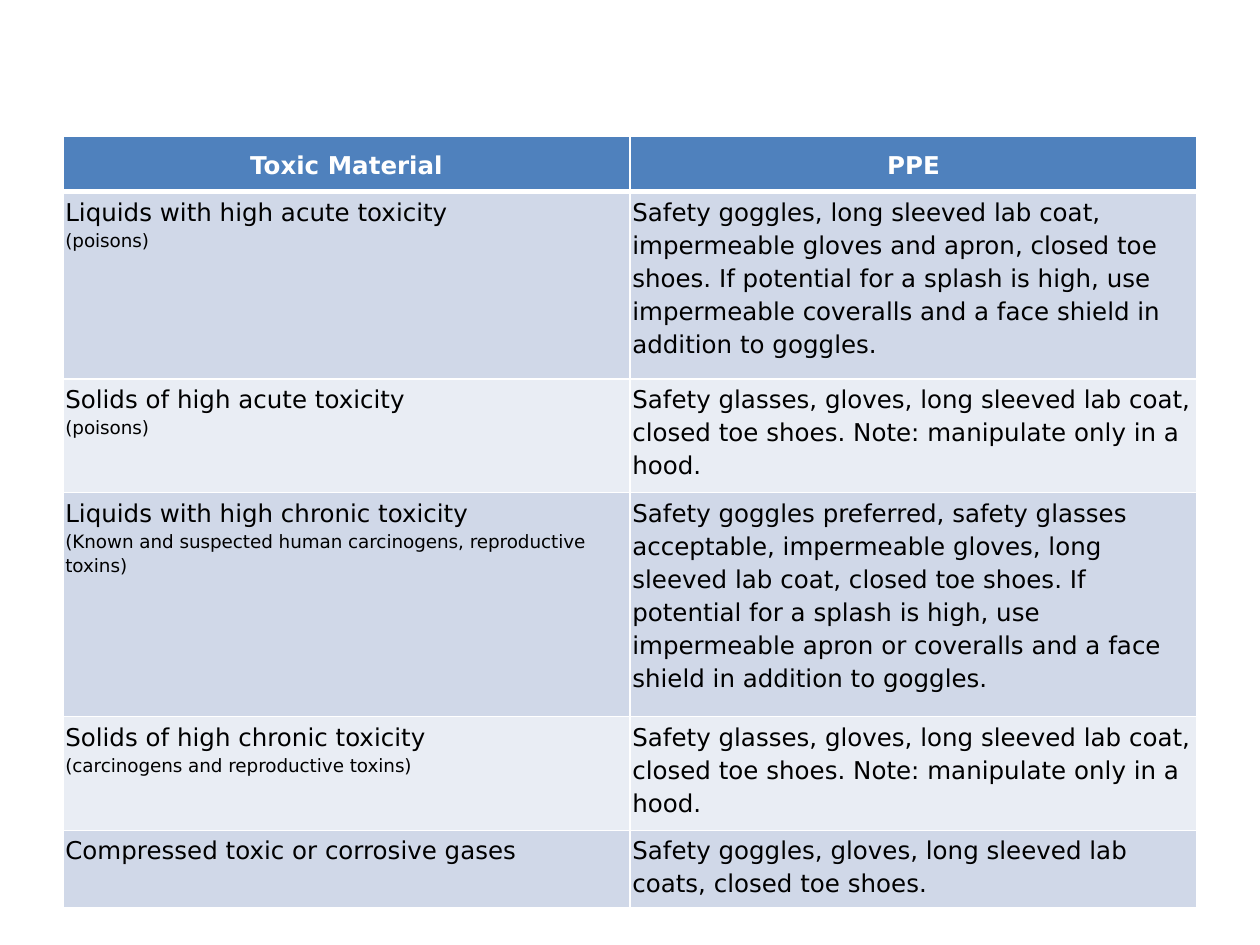
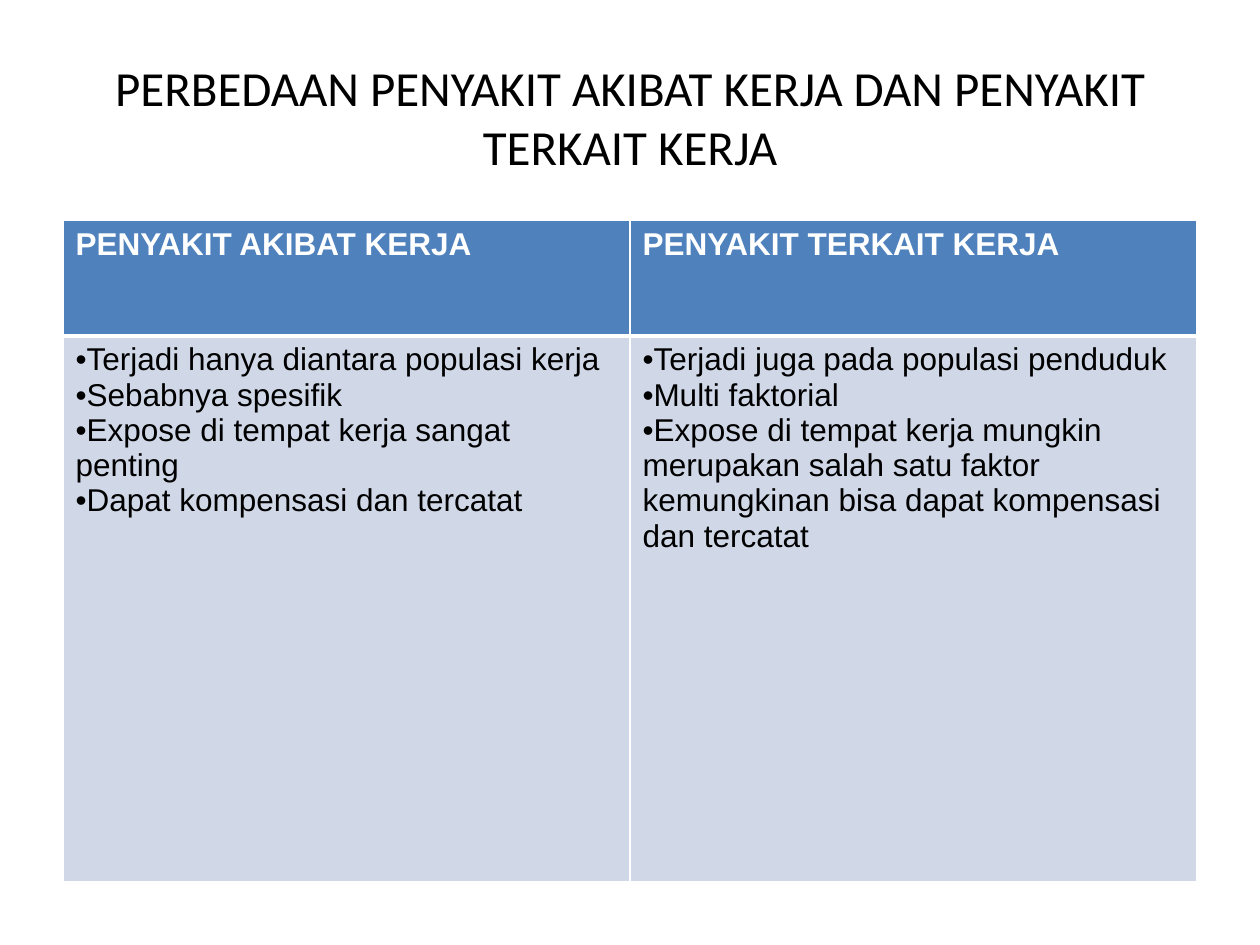
from dataclasses import dataclass

from lxml import etree
from pptx import Presentation
from pptx.dml.color import RGBColor
from pptx.enum.text import MSO_ANCHOR, PP_ALIGN
from pptx.oxml.ns import qn
from pptx.util import Pt

CENTER, LEFT = PP_ALIGN.CENTER, PP_ALIGN.LEFT
MIDDLE, TOP = MSO_ANCHOR.MIDDLE, MSO_ANCHOR.TOP
TITLE_ONLY, BLANK = 5, 6

# Each cell is a list of paragraphs; a tuple holds a main line and a small note under it.
SOLIDS_PPE = ("Safety glasses, gloves, long sleeved lab coat, closed toe shoes. "
              "Note: manipulate only in a hood.")
PPE_ROWS = [
    [["Toxic Material"], ["PPE"]],
    [[("Liquids with high acute toxicity", "(poisons)")],
     ["Safety goggles, long sleeved lab coat, impermeable gloves and apron, "
      "closed toe shoes. If potential for a splash is high, use impermeable "
      "coveralls and a face shield in addition to goggles."]],
    [[("Solids of high acute toxicity", "(poisons)")], [SOLIDS_PPE]],
    [[("Liquids with high chronic toxicity",
       "(Known and suspected human carcinogens, reproductive toxins)")],
     ["Safety goggles preferred, safety glasses acceptable, impermeable gloves, "
      "long sleeved lab coat, closed toe shoes. If potential for a splash is high, "
      "use impermeable apron or coveralls and a face shield in addition to goggles."]],
    [[("Solids of high chronic toxicity", "(carcinogens and reproductive toxins)")],
     [SOLIDS_PPE]],
    [["Compressed toxic or corrosive gases"],
     ["Safety goggles, gloves, long sleeved lab coats, closed toe shoes."]],
]

DISEASE_TITLE = "PERBEDAAN PENYAKIT AKIBAT KERJA DAN PENYAKIT TERKAIT KERJA"
DISEASE_ROWS = [
    [["PENYAKIT AKIBAT KERJA"], ["PENYAKIT TERKAIT KERJA"]],
    [["Terjadi hanya diantara populasi kerja", "Sebabnya spesifik",
      "Expose di tempat kerja sangat penting", "Dapat kompensasi dan tercatat"],
     ["Terjadi juga pada populasi penduduk", "Multi faktorial",
      "Expose di tempat kerja mungkin merupakan salah satu faktor kemungkinan "
      "bisa dapat kompensasi dan tercatat"]],
]


@dataclass(frozen=True)
class Theme:
    white: str = "FFFFFF"
    black: str = "000000"
    header: str = "4F81BD"
    bands: tuple = ("D0D8E8", "E9EDF4")
    title_font: str = "Calibri"
    title_size: float = 28
    note_size: float = 10.5
    margin: float = 36
    content_width: float = 648
    thin_rule: float = 1
    header_rule: float = 3


@dataclass(frozen=True)
class TableStyle:
    font: str
    size: float
    line_spacing: float
    inset_x: float
    inset_y: float
    header_align: PP_ALIGN
    header_anchor: MSO_ANCHOR
    bulleted: bool


THEME = Theme()
PPE_STYLE = TableStyle("DejaVu Sans", 14, 1.15, 1.35, 1.35, CENTER, MIDDLE, False)
DISEASE_STYLE = TableStyle("Arial", 18, 1.0, 7.2, 3.6, LEFT, TOP, True)


def add_run(paragraph, text, font, size, color, bold=False):
    run = paragraph.add_run()
    run.text = text
    run.font.name = font
    run.font.size = Pt(size)
    run.font.bold = bold
    run.font.color.rgb = RGBColor.from_string(color)


def add_break(paragraph, size):
    """Add a line break as tall as the line that it ends."""
    paragraph.add_line_break()
    etree.SubElement(paragraph._p[-1], qn("a:rPr"), sz=str(int(size * 100)))


def add_bullet(paragraph):
    properties = paragraph._p.get_or_add_pPr()
    properties.set("marL", "0")
    properties.set("indent", "0")
    etree.SubElement(properties, qn("a:buFont"), typeface="Arial")
    etree.SubElement(properties, qn("a:buChar"), char="•")


def set_borders(cell, top, bottom):
    properties = cell._tc.get_or_add_tcPr()
    widths = {"L": THEME.thin_rule, "R": THEME.thin_rule, "T": top, "B": bottom}
    for position, (side, width) in enumerate(widths.items()):
        line = etree.Element(qn(f"a:ln{side}"), w=str(Pt(width)))
        fill = etree.SubElement(line, qn("a:solidFill"))
        etree.SubElement(fill, qn("a:srgbClr"), val=THEME.white)
        properties.insert(position, line)


def fill_cell(cell, paragraphs, row_index, style):
    is_header = row_index == 0
    color = THEME.white if is_header else THEME.black
    background = THEME.header if is_header else THEME.bands[(row_index - 1) % 2]
    cell.fill.solid()
    cell.fill.fore_color.rgb = RGBColor.from_string(background)
    set_borders(cell,
                top=THEME.header_rule if row_index == 1 else THEME.thin_rule,
                bottom=THEME.header_rule if is_header else THEME.thin_rule)
    cell.margin_left = cell.margin_right = Pt(style.inset_x)
    cell.margin_top = cell.margin_bottom = Pt(style.inset_y)
    cell.vertical_anchor = style.header_anchor if is_header else TOP

    frame = cell.text_frame
    for index, content in enumerate(paragraphs):
        paragraph = frame.add_paragraph() if index else frame.paragraphs[0]
        paragraph.alignment = style.header_align if is_header else LEFT
        paragraph.line_spacing = style.line_spacing
        if style.bulleted and not is_header:
            add_bullet(paragraph)
        main, note = content if isinstance(content, tuple) else (content, None)
        add_run(paragraph, main, style.font, style.size, color, is_header)
        if note:
            add_break(paragraph, style.size)
            add_run(paragraph, note, style.font, THEME.note_size, color)


def add_table(slide, rows, top, row_heights, style):
    column_count = len(rows[0])
    table = slide.shapes.add_table(
        len(rows), column_count, Pt(THEME.margin), Pt(top),
        Pt(THEME.content_width), Pt(sum(row_heights))).table
    for column in table.columns:
        column.width = Pt(THEME.content_width / column_count)
    for row_index, (cells, height) in enumerate(zip(rows, row_heights)):
        table.rows[row_index].height = Pt(height)
        for column_index, paragraphs in enumerate(cells):
            fill_cell(table.cell(row_index, column_index), paragraphs, row_index, style)


def set_title(slide, text):
    title = slide.shapes.title
    title.left, title.top = Pt(THEME.margin), Pt(21.6)
    title.width, title.height = Pt(THEME.content_width), Pt(90)
    title.text_frame.word_wrap = True
    title.text_frame.vertical_anchor = MIDDLE
    paragraph = title.text_frame.paragraphs[0]
    paragraph.alignment = CENTER
    add_run(paragraph, text, THEME.title_font, THEME.title_size, THEME.black)


def main():
    presentation = Presentation()
    presentation.slide_width, presentation.slide_height = Pt(720), Pt(540)
    layouts = presentation.slide_layouts

    ppe_slide = presentation.slides.add_slide(layouts[BLANK])
    add_table(ppe_slide, PPE_ROWS, 78, [31.5, 107, 65, 128, 65, 44], PPE_STYLE)

    disease_slide = presentation.slides.add_slide(layouts[TITLE_ONLY])
    set_title(disease_slide, DISEASE_TITLE)
    add_table(disease_slide, DISEASE_ROWS, 126, [66, 312], DISEASE_STYLE)

    presentation.save("out.pptx")


if __name__ == "__main__":
    main()
